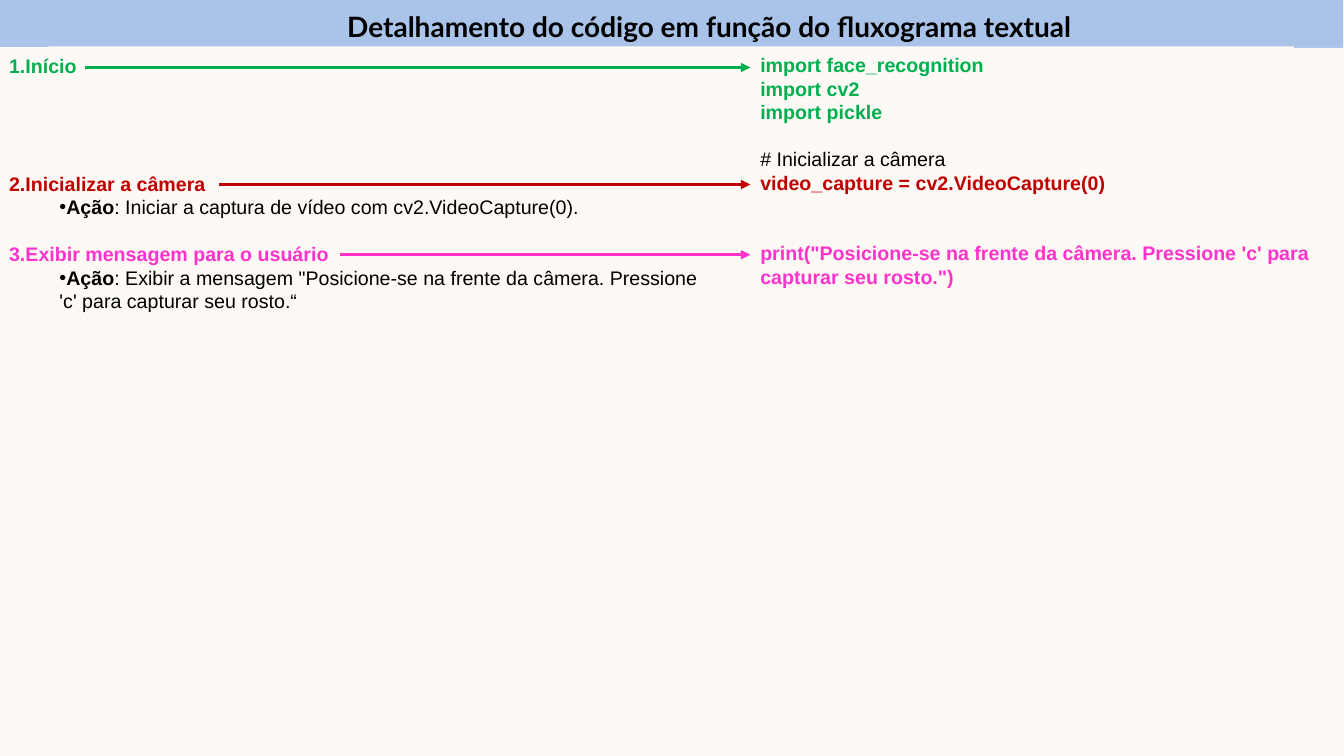
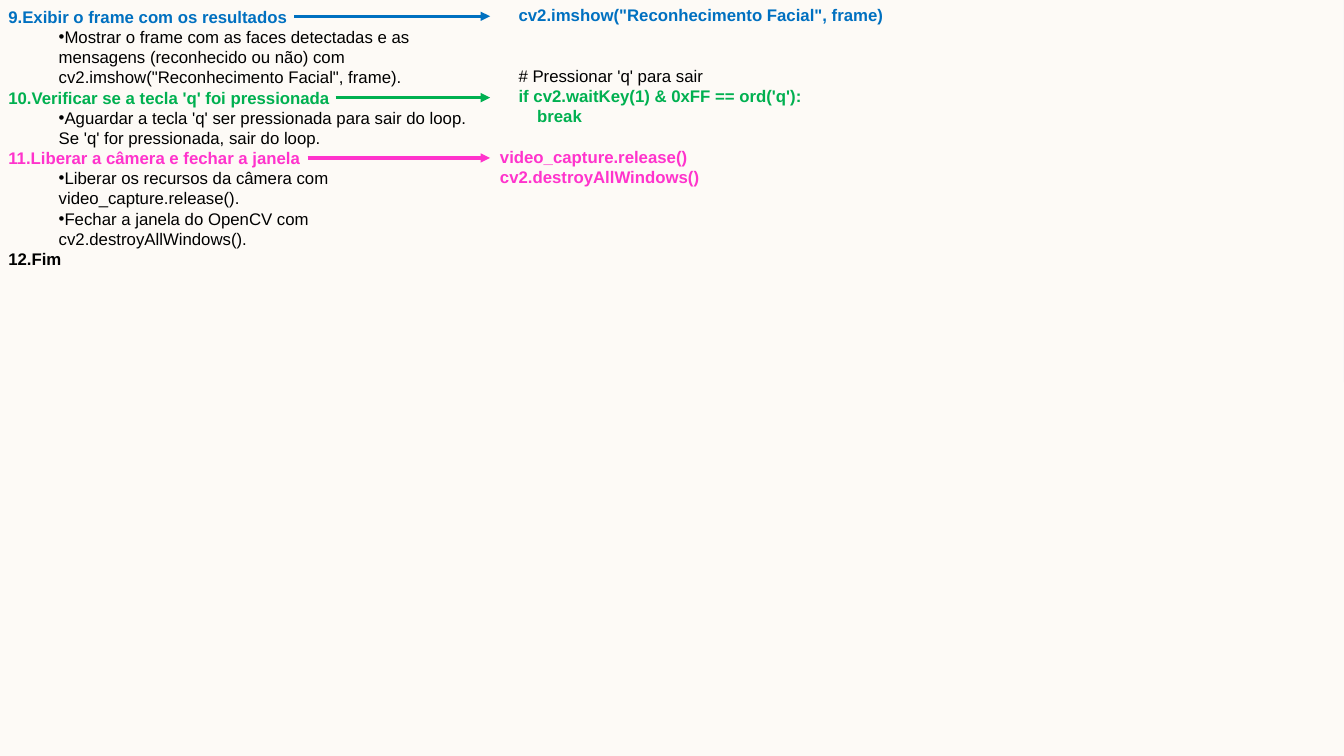
from lxml import etree
from pptx import Presentation
from pptx import util as u
from pptx.dml.color import RGBColor
from pptx.enum import shapes, text
from pptx.oxml.ns import qn

CREAM = RGBColor(0xFD, 0xFA, 0xF6)
BAND_BLUE = RGBColor(0xAA, 0xC3, 0xE8)
BLACK = RGBColor(0, 0, 0)
GREEN = RGBColor(0x00, 0xB0, 0x50)
RED = RGBColor(0xC0, 0x00, 0x00)
PINK = RGBColor(0xFF, 0x33, 0xCC)
BLUE = RGBColor(0x00, 0x70, 0xC0)
TITLE_FONT = "Lato"
BODY_FONT = "Arial"
LINE_FACTOR = 1.2
ACTION_INDENT = u.Cm(1.27)


def add_panel(slide, box, colour, top_margin=0.13):
    panel = slide.shapes.add_shape(shapes.MSO_SHAPE.RECTANGLE, *[u.Cm(length) for length in box])
    panel.shadow.inherit = False
    panel.fill.solid()
    panel.fill.fore_color.rgb = colour
    panel.line.fill.background()
    panel.text_frame.word_wrap = True
    panel.text_frame.vertical_anchor = text.MSO_ANCHOR.TOP
    panel.text_frame.margin_top = u.Cm(top_margin)
    return panel


def add_line(frame, words, size, colour, bold, gap=0, number=None, bullet=False, label=""):
    line = frame.paragraphs[0]
    if line.runs:
        line = frame.add_paragraph()
    line.alignment = text.PP_ALIGN.LEFT
    line.line_spacing = u.Pt(size * LINE_FACTOR)
    if gap:
        line.space_before = u.Pt(size * LINE_FACTOR * gap)
    properties = line._p.get_or_add_pPr()
    if number:
        properties.set("marL", "0")
        properties.set("indent", "0")
        etree.SubElement(properties, qn("a:buFont"), typeface="+mj-lt")
        etree.SubElement(properties, qn("a:buAutoNum"), type="arabicPeriod", startAt=str(number))
    if bullet:
        properties.set("marL", str(ACTION_INDENT))
        properties.set("indent", "0")
        etree.SubElement(properties, qn("a:buFont"), typeface=BODY_FONT)
        etree.SubElement(properties, qn("a:buChar"), char="•")
    line.font.name = BODY_FONT
    line.font.size = u.Pt(size)
    line.font.bold = bold
    line.font.color.rgb = colour
    if label:
        lead = line.add_run()
        lead.text = label
        lead.font.bold = True
    line.add_run().text = words


pages = [
    {
        "title": "Detalhamento do código em função do fluxograma textual",
        "size": 14,
        "label": "Ação",
        "steps_box": (-0.02, 1.19, 18.08, 9.83),
        "steps_margin": 0.17,
        "code_box": (18.91, 1.21, 14.96, 9.25),
        "steps": [
            (1, "Início", GREEN, 0, (2.13, 1.7), []),
            (2, "Inicializar a câmera", RED, 4, (5.51, 4.65),
             [": Iniciar a captura de vídeo com cv2.VideoCapture(0)."]),
            (3, "Exibir mensagem para o usuário", PINK, 1, (8.56, 6.42),
             [": Exibir a mensagem \"Posicione-se na frente da câmera. "
              "Pressione 'c' para capturar seu rosto.“"]),
        ],
        "code": [
            ("import face_recognition", GREEN, 0),
            ("import cv2", GREEN, 0),
            ("import pickle", GREEN, 0),
            ("# Inicializar a câmera", BLACK, 1),
            ("video_capture = cv2.VideoCapture(0)", RED, 0),
            ("print(\"Posicione-se na frente da câmera. Pressione 'c' para capturar seu rosto.\")", PINK, 2),
        ],
    },
    {
        "title": "",
        "size": 12,
        "label": "",
        "steps_box": (-0.04, -0.03, 12.52, 13.08),
        "steps_margin": 0.2,
        "code_box": (12.35, 0, 21.51, 10.01),
        "steps": [
            (9, "Exibir o frame com os resultados", BLUE, 0, (7.42, 0.41),
             ["Mostrar o frame com as faces detectadas e as mensagens (reconhecido ou não) "
              "com cv2.imshow(\"Reconhecimento Facial\", frame)."]),
            (10, "Verificar se a tecla 'q' foi pressionada", GREEN, 0, (8.46, 2.46),
             ["Aguardar a tecla 'q' ser pressionada para sair do loop. "
              "Se 'q' for pressionada, sair do loop."]),
            (11, "Liberar a câmera e fechar a janela", PINK, 0, (7.75, 3.98),
             ["Liberar os recursos da câmera com video_capture.release().",
              "Fechar a janela do OpenCV com cv2.destroyAllWindows()."]),
            (12, "Fim", BLACK, 0, None, []),
        ],
        "code": [
            ("    cv2.imshow(\"Reconhecimento Facial\", frame)", BLUE, 0),
            ("    # Pressionar 'q' para sair", BLACK, 2),
            ("    if cv2.waitKey(1) & 0xFF == ord('q'):", GREEN, 0),
            ("        break", GREEN, 0),
            ("video_capture.release()", PINK, 1),
            ("cv2.destroyAllWindows()", PINK, 0),
        ],
    },
]

deck = Presentation()
deck.slide_width = u.Cm(33.87)
deck.slide_height = u.Cm(19.05)
backdrop = deck.slide_master.background.fill
backdrop.solid()
backdrop.fore_color.rgb = CREAM
blank = deck.slide_layouts[6]

for position, page in enumerate(pages):
    slide = deck.slides.add_slide(blank)
    size = page["size"]

    if position == 0:
        for box, colour in [((-0.08, 0, 33.93, 9.63), BAND_BLUE), ((1.22, 1.17, 31.39, 16.74), CREAM)]:
            blank.shapes.element.append(add_panel(slide, box, colour).element)

    flow = add_panel(slide, page["steps_box"], CREAM, page["steps_margin"]).text_frame
    code = add_panel(slide, page["code_box"], CREAM).text_frame
    code_left = page["code_box"][0]

    for statement, colour, gap in page["code"]:
        add_line(code, statement, size, colour, colour != BLACK, gap)

    for number, name, colour, gap, arrow_start, actions in page["steps"]:
        add_line(flow, name, size, colour, True, gap, number=number)
        for action in actions:
            add_line(flow, action, size, BLACK, False, bullet=True, label=page["label"])
        if arrow_start:
            x, y = arrow_start
            arrow = slide.shapes.add_connector(
                shapes.MSO_CONNECTOR.STRAIGHT, u.Cm(x), u.Cm(y), u.Cm(code_left), u.Cm(y))
            arrow.line.color.rgb = colour
            arrow.line.width = u.Pt(2.25)
            outline = arrow.element.spPr
            etree.SubElement(outline.find(qn("a:ln")), qn("a:tailEnd"), type="triangle")
            etree.SubElement(outline, qn("a:effectLst"))

    if page["title"]:
        heading = slide.shapes.add_textbox(u.Cm(8.5), u.Cm(0.12), u.Cm(19.13), u.Cm(1.11)).text_frame
        heading.word_wrap = False
        title = heading.paragraphs[0]
        title.font.name = TITLE_FONT
        title.font.size = u.Pt(20)
        title.font.bold = True
        title.font.color.rgb = BLACK
        title.add_run().text = page["title"]

deck.save("out.pptx")
